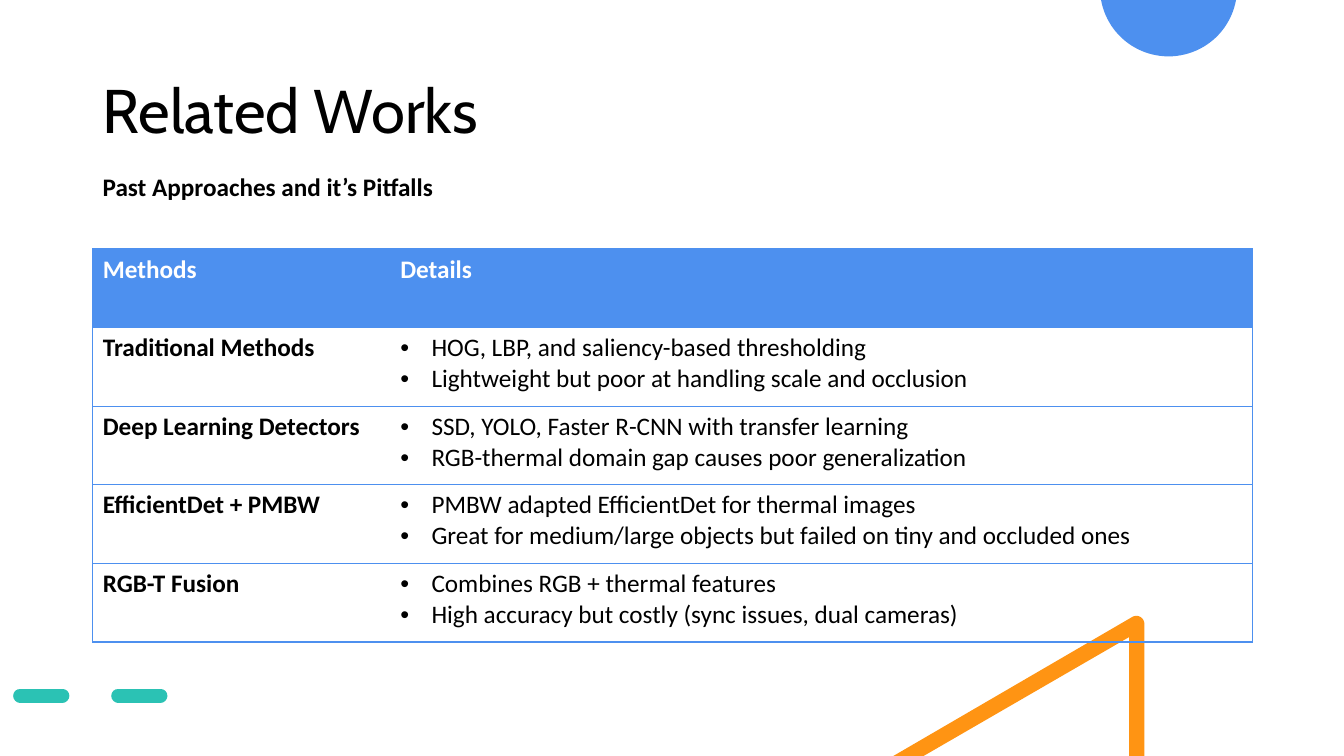
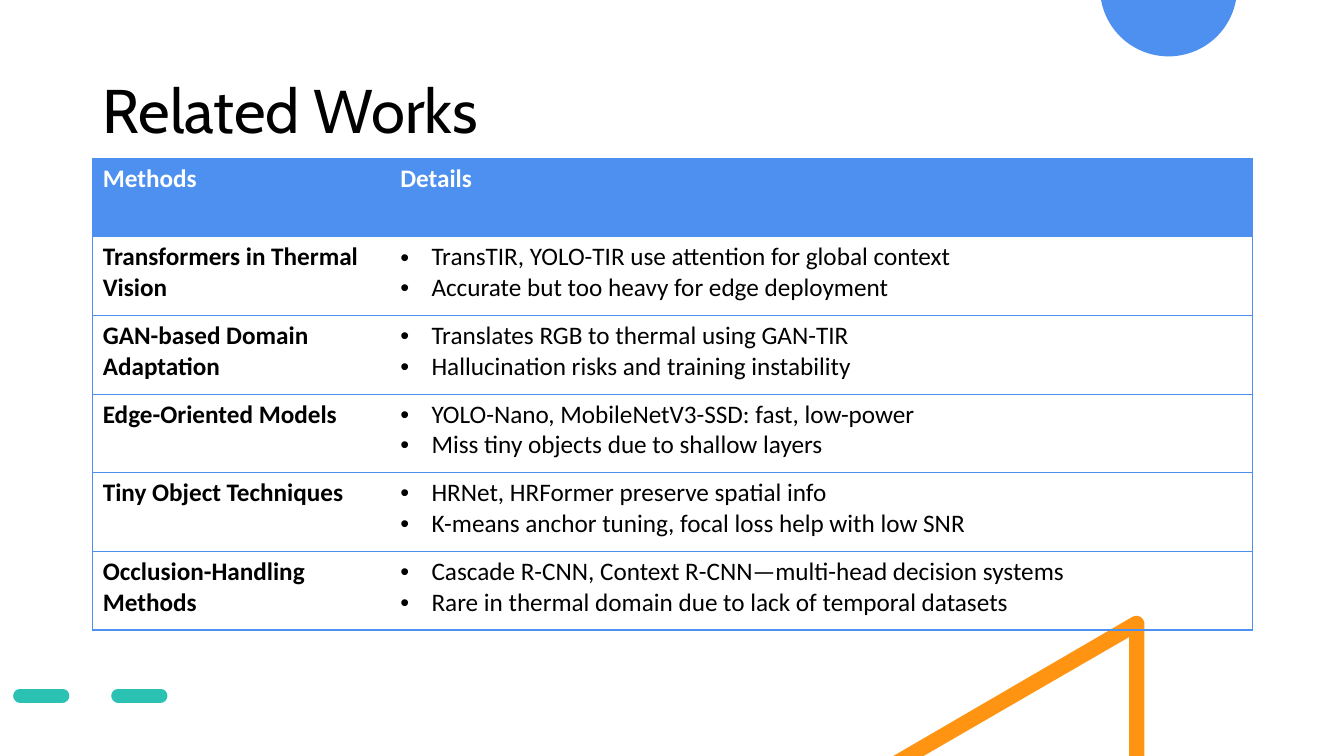
from dataclasses import dataclass
from math import asin, cos, pi, sin

from lxml.etree import SubElement
from pptx import Presentation
from pptx.dml.color import RGBColor
from pptx.enum.dml import MSO_LINE
from pptx.enum.shapes import MSO_CONNECTOR
from pptx.enum.text import MSO_ANCHOR
from pptx.oxml import parse_xml
from pptx.oxml.ns import nsdecls, qn
from pptx.util import Inches, Pt


@dataclass(frozen=True)
class Theme:
    blue: str = "4D90EF"
    orange: str = "FF9413"
    teal: str = "2BC2B4"
    black: str = "000000"
    white: str = "FFFFFF"
    title_font: str = "Cabin"
    body_font: str = "Calibri"
    title_size: int = 44
    body_size: int = 18
    border: int = 1
    dash: int = 10


THEME = Theme()

# Grid, in inches: one text block, two table columns, equal rows
SLIDE_WIDTH, SLIDE_HEIGHT = 13.33, 7.5
LEFT = 0.92
COLUMNS = (2.95, 8.55)
CONTENT_WIDTH = sum(COLUMNS)
ROW_HEIGHT = 0.78
INDENT = 0.31

TITLE = {"size": THEME.title_size, "name": THEME.title_font, "color": THEME.black}
BODY = {"size": THEME.body_size, "name": THEME.body_font, "color": THEME.black, "bold": False}
STRONG = {**BODY, "bold": True}
HEADER = {**STRONG, "color": THEME.white}

HEADINGS = ("Methods", "Details")
SLIDES = [
    {
        "title": "Related Works",
        "subtitle": "Past Approaches and it’s Pitfalls",
        "table_top": 2.47,
        "methods": [
            ("Traditional Methods", [
                "HOG, LBP, and saliency-based thresholding",
                "Lightweight but poor at handling scale and occlusion"]),
            ("Deep Learning Detectors", [
                "SSD, YOLO, Faster R-CNN with transfer learning",
                "RGB-thermal domain gap causes poor generalization"]),
            ("EfficientDet + PMBW", [
                "PMBW adapted EfficientDet for thermal images",
                "Great for medium/large objects but failed on tiny and occluded ones"]),
            ("RGB-T Fusion", [
                "Combines RGB + thermal features",
                "High accuracy but costly (sync issues, dual cameras)"]),
        ],
    },
    {
        "title": "Related Works",
        "subtitle": None,
        "table_top": 1.57,
        "methods": [
            ("Transformers in Thermal Vision", [
                "TransTIR, YOLO-TIR use attention for global context",
                "Accurate but too heavy for edge deployment"]),
            ("GAN-based Domain Adaptation", [
                "Translates RGB to thermal using GAN-TIR",
                "Hallucination risks and training instability"]),
            ("Edge-Oriented Models", [
                "YOLO-Nano, MobileNetV3-SSD: fast, low-power",
                "Miss tiny objects due to shallow layers"]),
            ("Tiny Object Techniques", [
                "HRNet, HRFormer preserve spatial info",
                "K-means anchor tuning, focal loss help with low SNR"]),
            ("Occlusion-Handling Methods", [
                "Cascade R-CNN, Context R-CNN—multi-head decision systems",
                "Rare in thermal domain due to lack of temporal datasets"]),
        ],
    },
]


# Text
def write(paragraph, text, style):
    run = paragraph.add_run()
    run.text = text
    for attribute, value in style.items():
        if attribute == "color":
            run.font.color.rgb = RGBColor.from_string(value)
        else:
            setattr(run.font, attribute, Pt(value) if attribute == "size" else value)


def add_bullet(paragraph):
    properties = paragraph._p.get_or_add_pPr()
    for attribute, length in {"marL": INDENT, "indent": -INDENT}.items():
        properties.set(attribute, str(Inches(length)))
    SubElement(properties, qn("a:buFont")).set("typeface", "Arial")
    SubElement(properties, qn("a:buChar")).set("char", "•")


def add_text(slide, text, style, top, height, frame_format=None, line_spacing=1.0):
    box = slide.shapes.add_textbox(*map(Inches, (LEFT, top, CONTENT_WIDTH, height)))
    frame = box.text_frame
    for attribute, value in {"word_wrap": True, **(frame_format or {})}.items():
        setattr(frame, attribute, value)
    paragraph = frame.paragraphs[0]
    paragraph.line_spacing = line_spacing
    write(paragraph, text, style)


# Decoration
def arc(center_x, center_y, radius, start, end, steps=48):
    angles = (start + (end - start) * step / steps for step in range(steps + 1))
    return [(center_x + radius * cos(angle), center_y + radius * sin(angle))
            for angle in angles]


def add_outline(slide, points, color):
    first, *rest = [(Inches(x), Inches(y)) for x, y in points]
    builder = slide.shapes.build_freeform(*first)
    builder.add_line_segments(rest, close=True)
    shape = builder.convert_to_shape()
    shape.shadow.inherit = False
    shape.fill.solid()
    shape.fill.fore_color.rgb = RGBColor.from_string(color)
    shape.line.fill.background()


def add_dashes(slide, left, right, y):
    connector = slide.shapes.add_connector(
        MSO_CONNECTOR.STRAIGHT, *map(Inches, (left, y, right, y)))
    line = connector.line
    line.color.rgb = RGBColor.from_string(THEME.teal)
    line.width = Pt(THEME.dash)
    line.dash_style = MSO_LINE.DASH
    line._get_or_add_ln().set("cap", "rnd")
    SubElement(connector._element.spPr, qn("a:effectLst"))


def decorate(slide):
    # Circle cut by the top edge
    radius, drop = 0.68, 0.12
    cut = asin(drop / radius)
    add_outline(slide, arc(11.59, -drop, radius, cut, pi - cut), THEME.blue)
    # Triangle cut by the bottom edge, with a rounded tip
    tip = arc(11.27, 6.19, 0.08, -2 * pi / 3, 0)
    foot = [(11.35, SLIDE_HEIGHT), (11.2, SLIDE_HEIGHT), (11.2, 6.32),
            (9.16, SLIDE_HEIGHT), (8.86, SLIDE_HEIGHT)]
    add_outline(slide, tip + foot, THEME.orange)
    add_dashes(slide, 0.2, 1.95, 0.92 * SLIDE_HEIGHT)


# Table
def set_borders(cell, column):
    visible = {"L": column == 0, "R": column == len(COLUMNS) - 1, "T": True, "B": True}
    properties = cell._tc.get_or_add_tcPr()
    for position, (side, shown) in enumerate(visible.items()):
        paint = (f'<a:solidFill><a:srgbClr val="{THEME.blue}"/></a:solidFill>'
                 if shown else "<a:noFill/>")
        properties.insert(position, parse_xml(
            f'<a:ln{side} {nsdecls("a")} w="{Pt(THEME.border)}">{paint}</a:ln{side}>'))


def fill_cell(cell, lines, style, column, fill=None, bulleted=False):
    if fill:
        cell.fill.solid()
        cell.fill.fore_color.rgb = RGBColor.from_string(fill)
    else:
        cell.fill.background()
    set_borders(cell, column)
    frame = cell.text_frame
    for index, line in enumerate(lines):
        paragraph = frame.add_paragraph() if index else frame.paragraphs[0]
        if bulleted:
            add_bullet(paragraph)
        write(paragraph, line, style)


def add_methods_table(slide, methods, top):
    row_count = len(methods) + 1
    table = slide.shapes.add_table(
        row_count, len(COLUMNS),
        *map(Inches, (LEFT, top, CONTENT_WIDTH, row_count * ROW_HEIGHT))).table
    table.horz_banding = False
    for column, width in zip(table.columns, COLUMNS):
        column.width = Inches(width)
    for index, heading in enumerate(HEADINGS):
        fill_cell(table.cell(0, index), [heading], HEADER, index, fill=THEME.blue)
    for row, (method, details) in enumerate(methods, 1):
        fill_cell(table.cell(row, 0), [method], STRONG, 0)
        fill_cell(table.cell(row, 1), details, BODY, 1, bulleted=True)


def add_methods_slide(presentation, content):
    slide = presentation.slides.add_slide(presentation.slide_layouts[6])
    decorate(slide)
    add_text(slide, content["title"], TITLE, 0.4, 1.45,
             {"vertical_anchor": MSO_ANCHOR.MIDDLE}, line_spacing=0.9)
    add_methods_table(slide, content["methods"], content["table_top"])
    if content["subtitle"]:
        add_text(slide, content["subtitle"], STRONG, 1.65, 0.4)


def main():
    presentation = Presentation()
    presentation.slide_width = Inches(SLIDE_WIDTH)
    presentation.slide_height = Inches(SLIDE_HEIGHT)
    for content in SLIDES:
        add_methods_slide(presentation, content)
    presentation.save("out.pptx")


if __name__ == "__main__":
    main()
